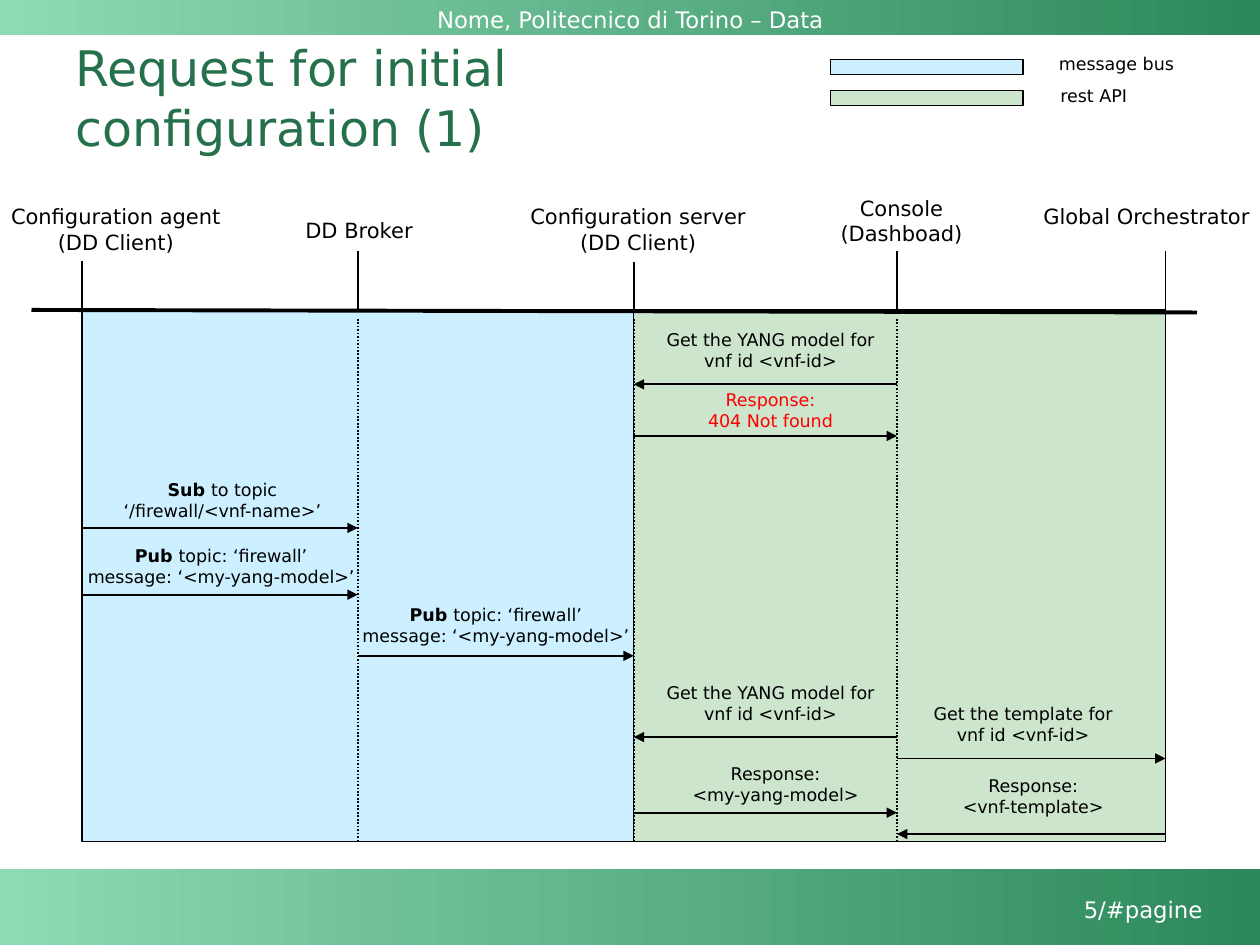
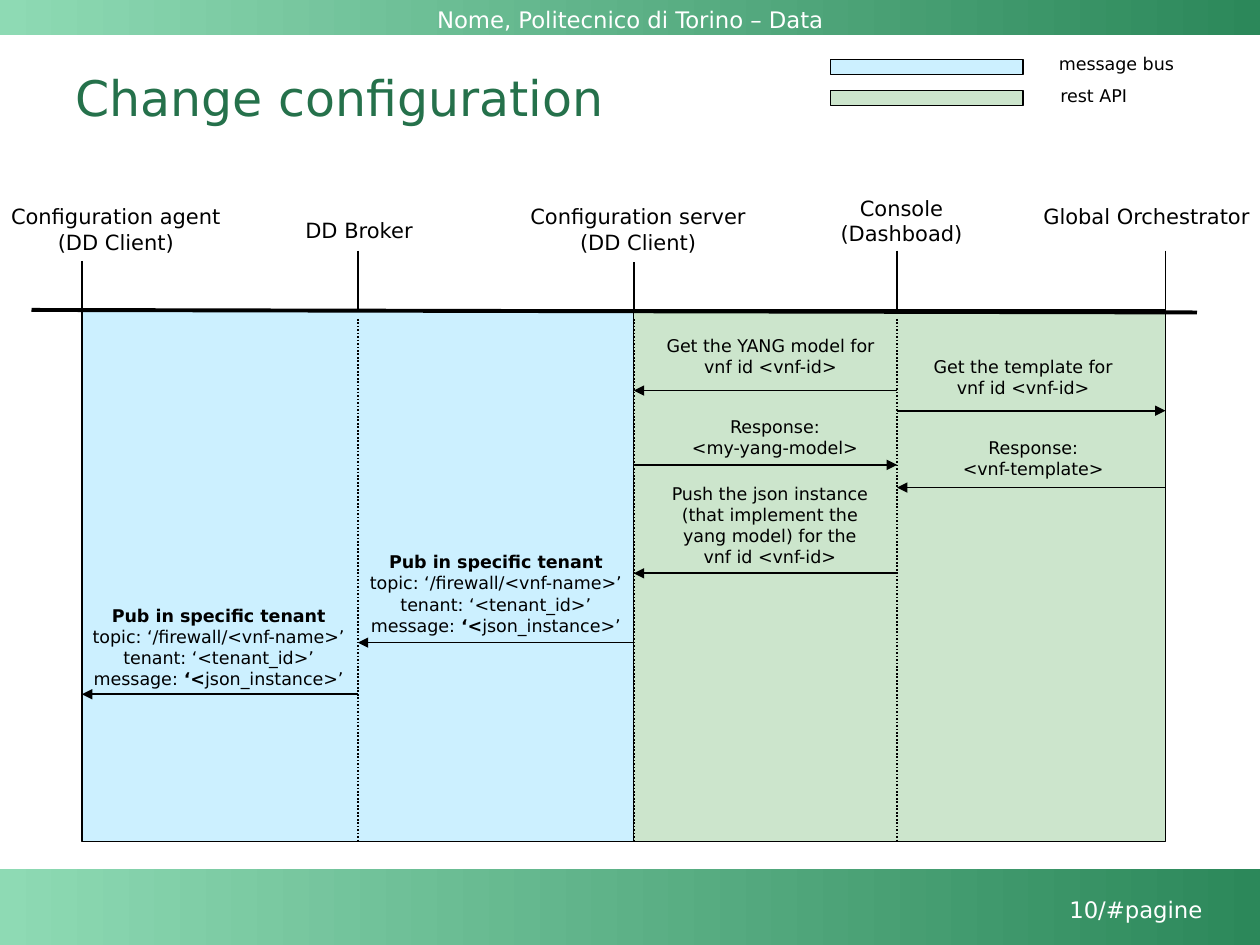
"""Build two sequence diagram slides on a shared green layout."""
from lxml import etree
from pptx import Presentation
from pptx.dml.color import RGBColor
from pptx.enum.dml import MSO_LINE
from pptx.enum.shapes import MSO_CONNECTOR, MSO_SHAPE
from pptx.enum.text import MSO_ANCHOR, MSO_AUTO_SIZE, PP_ALIGN
from pptx.oxml.ns import qn
from pptx.util import Inches, Pt

LEFT, MID, RIGHT = PP_ALIGN.LEFT, PP_ALIGN.CENTER, PP_ALIGN.RIGHT
TOP, CENTRE = MSO_ANCHOR.TOP, MSO_ANCHOR.MIDDLE
RECT, LINE, DOTS = MSO_SHAPE.RECTANGLE, MSO_CONNECTOR.STRAIGHT, MSO_LINE.ROUND_DOT
FIXED = MSO_AUTO_SIZE.NONE

BLACK = RGBColor(0x00, 0x00, 0x00)
WHITE = RGBColor(0xFF, 0xFF, 0xFF)
RED = RGBColor(0xFF, 0x00, 0x00)
BLUE = RGBColor(0x00, 0xB8, 0xFF)
GREEN = RGBColor(0x00, 0x80, 0x00)
MINT = RGBColor(0x8E, 0xDA, 0xB4)
FERN = RGBColor(0x2C, 0x88, 0x5A)
PINE = RGBColor(0x25, 0x71, 0x4B)
FONT = "DejaVu Sans"

# The grid is 100 columns by 75 rows.
WIDE, HIGH = 100, 75
CELL = Inches(10) / WIDE

# Lifelines: column, top of the line, label centre, label box top, width, text
ACTORS = [
    (6.5, 20.7, 9.2, 15.7, 18.4, "Configuration agent\n(DD Client)"),
    (28.4, 19.9, 28.5, 16.8, 10.8, "DD Broker"),
    (50.3, 20.8, 50.65, 15.7, 19.3, "Configuration server\n(DD Client)"),
    (71.2, 19.9, 71.55, 15, 11.9, "Console\n(Dashboad)"),
    (92.5, 19.9, 91, 15.7, 18, "Global Orchestrator"),
]
AGENT, BROKER, SERVER, BOARD, GLOBAL = range(5)
AXIS, START, END = 24.6, 25.3, 66.8

MODEL = "Get the YANG model for\nvnf id <vnf-id>"
PLAN = "Get the template for\nvnf id <vnf-id>"
YANG = "Response:\n<my-yang-model>"
VNF = "Response:\n<vnf-template>"
PUB = "*Pub *topic: ‘firewall’\nmessage: ‘<my-yang-model>’"
TENANT = ("*Pub in specific tenant*\ntopic: ‘/firewall/<vnf-name>’\n"
          "tenant: ‘<tenant_id>’\nmessage:* ‘<*json_instance>’")

# Messages: from, to, row, rise of the label, its shift from mid-span, text, colour
FIRST = [
    (BOARD, SERVER, 30.5, 2.7, 0.4, MODEL, BLACK),
    (SERVER, BOARD, 34.6, 2.05, 0.4, "Response:\n404 Not found", RED),
    (AGENT, BROKER, 41.9, 2.2, 0.2,
     "*Sub *to topic\n‘/firewall/<vnf-name>’", BLACK),
    (AGENT, BROKER, 47.2, 2.3, 0.1, PUB, BLACK),
    (BROKER, SERVER, 52.05, 2.45, 0, PUB, BLACK),
    (BOARD, SERVER, 58.5, 2.7, 0.4, MODEL, BLACK),
    (BOARD, GLOBAL, 60.2, 2.7, -0.65, PLAN, BLACK),
    (SERVER, BOARD, 64.5, 2.3, 0.8, YANG, BLACK),
    (GLOBAL, BOARD, 66.2, 3.05, 0.15, VNF, BLACK),
]
SECOND = [
    (BOARD, SERVER, 31, 2.75, 0.4, MODEL, BLACK),
    (BOARD, GLOBAL, 32.6, 2.7, -0.65, PLAN, BLACK),
    (SERVER, BOARD, 36.9, 2.2, 0.75, YANG, BLACK),
    (GLOBAL, BOARD, 38.7, 2.35, 0.15, VNF, BLACK),
    (BOARD, SERVER, 45.5, 3.85, 0.35,
     "Push the json instance\n(that implement the\nyang model) for the\nvnf id <vnf-id>",
     BLACK),
    (SERVER, BROKER, 51, 3.9, 0, TENANT, BLACK),
    (BROKER, AGENT, 55.1, 3.75, -0.1, TENANT, BLACK),
]


def grid(*cells):
    """Turn grid cells into lengths."""
    return [int(cell * CELL) for cell in cells]


def write(frame, text, size=10, color=BLACK, align=MID, anchor=CENTRE,
          wrap=False, lead=None):
    """Write lines of text into a frame; stars enclose bold words."""
    frame.auto_size, frame.word_wrap = FIXED, wrap
    frame.vertical_anchor = anchor
    for row, line in enumerate(text.split("\n")):
        para = frame.add_paragraph() if row else frame.paragraphs[0]
        para.alignment = align
        if lead:
            para.line_spacing = lead
        for turn, part in enumerate(line.split("*")):
            if part:
                run = para.add_run()
                run.text = part
                font = run.font
                font.name, font.size = FONT, Pt(size)
                font.bold = turn % 2 == 1
                font.color.rgb = color


def label(slide, text, box, **style):
    """Add a text box on the grid."""
    shape = slide.shapes.add_textbox(*grid(*box))
    write(shape.text_frame, text, **style)
    return shape


def panel(slide, box, color):
    """Add an outlined panel with a tint of 20 percent."""
    shape = slide.shapes.add_shape(RECT, *grid(*box))
    shape.shadow.inherit = False
    shape.fill.solid()
    shape.fill.fore_color.rgb = color
    tint = shape.element.spPr.find(qn("a:solidFill"))[0]
    etree.SubElement(tint, qn("a:alpha"), val="20000")
    shape.line.color.rgb = BLACK
    shape.line.width = Pt(0.75)


def band(slide, box):
    """Add a band that fades from light to dark green."""
    shape = slide.shapes.add_shape(RECT, *grid(*box))
    shape.shadow.inherit = False
    shape.fill.gradient()
    shape.fill.gradient_angle = 0
    for stop, color in zip(shape.fill.gradient_stops, (MINT, FERN)):
        stop.color.rgb = color
    shape.line.fill.background()
    return shape


def rule(slide, ends, width=1, dash=None, arrow=False):
    """Draw a line between two grid points, with an arrowhead if asked."""
    line = slide.shapes.add_connector(LINE, *grid(*ends))
    line.line.color.rgb = BLACK
    line.line.width = Pt(width)
    if dash:
        line.line.dash_style = dash
    props = line.element.spPr
    if arrow:
        etree.SubElement(props.find(qn("a:ln")), qn("a:tailEnd"), type="triangle")
    etree.SubElement(props, qn("a:effectLst"))


def dress(slide):
    """Draw the bands and their text, and hand them to the slide's layout."""
    layout = slide.slide_layout
    parts = [
        band(slide, (0, 69, WIDE, 6)),
        band(slide, (0, 0, WIDE, 2.8)),
        label(slide, "Nome, Politecnico di Torino – Data", (0, 0, WIDE, 2.9),
              size=13, color=WHITE, anchor=TOP),
    ]
    for num, part in enumerate(parts, 100):
        part.element.nvSpPr.cNvPr.id = num
        layout.shapes.element.append(part.element)
    head = layout.placeholders[0]
    head.left, head.top, head.width, head.height = grid(5, 3, 90, 9.3)


def legend(slide, left, top):
    """Place the colour key."""
    keys = (("message bus", BLUE, 11.2), ("rest API", GREEN, 7.6))
    for row, (text, color, width) in enumerate(keys):
        base = top + 2.5 * row
        panel(slide, (left, base, 15.3, 1.2), color)
        label(slide, text, (left + 17.1, base - 1, width, 2.7))


def stage(slide):
    """Draw the panels, the axis and the lifelines with their names."""
    for start, end, color in ((AGENT, SERVER, BLUE), (SERVER, GLOBAL, GREEN)):
        left, right = ACTORS[start][0], ACTORS[end][0]
        panel(slide, (left, AXIS, right - left, 42.2), color)
    rule(slide, (2.5, AXIS, 95, AXIS + 0.2), width=2.25)
    for col, top, mid, base, width, text in ACTORS:
        rule(slide, (col, top, col, AXIS))
        rule(slide, (col, START, col, END), dash=DOTS)
        high = 1 + 2 * len(text.split("\n"))
        label(slide, text, (mid - width / 2, base, width, high),
              size=12, anchor=TOP)


def send(slide, start, end, row, rise, shift, text, color):
    """Draw one message arrow with its label above."""
    left, right = ACTORS[start][0], ACTORS[end][0]
    rule(slide, (left, row, right, row), arrow=True)
    mid = (left + right) / 2 + shift
    high = 1 + 1.7 * len(text.split("\n"))
    label(slide, text, (mid - 10, row - rise - high / 2, 20, high), color=color)


def scene(slide, title, page, notes):
    """Fill one slide: title, page, key, stage and messages."""
    write(slide.shapes.title.text_frame, title, size=28, color=PINE,
          align=LEFT, wrap=True, lead=1.02)
    label(slide, f"{page}/#pagine", (80.7, 70.6, 15.7, 2.9), size=13,
          color=WHITE, align=RIGHT, anchor=TOP, wrap=True)
    stage(slide)
    for note in notes:
        send(slide, *note)
    legend(slide, 65.9, 4.7)


def main():
    """Build and save the deck."""
    deck = Presentation()
    deck.slide_width, deck.slide_height = grid(WIDE, HIGH)
    layout = deck.slide_layouts[5]
    scenes = (("Request for initial\nconfiguration (1)", 5, FIRST),
              ("Change configuration", 10, SECOND))
    for turn, (title, page, notes) in enumerate(scenes):
        slide = deck.slides.add_slide(layout)
        if turn == 0:
            dress(slide)
        scene(slide, title, page, notes)
    deck.save("out.pptx")


main()
